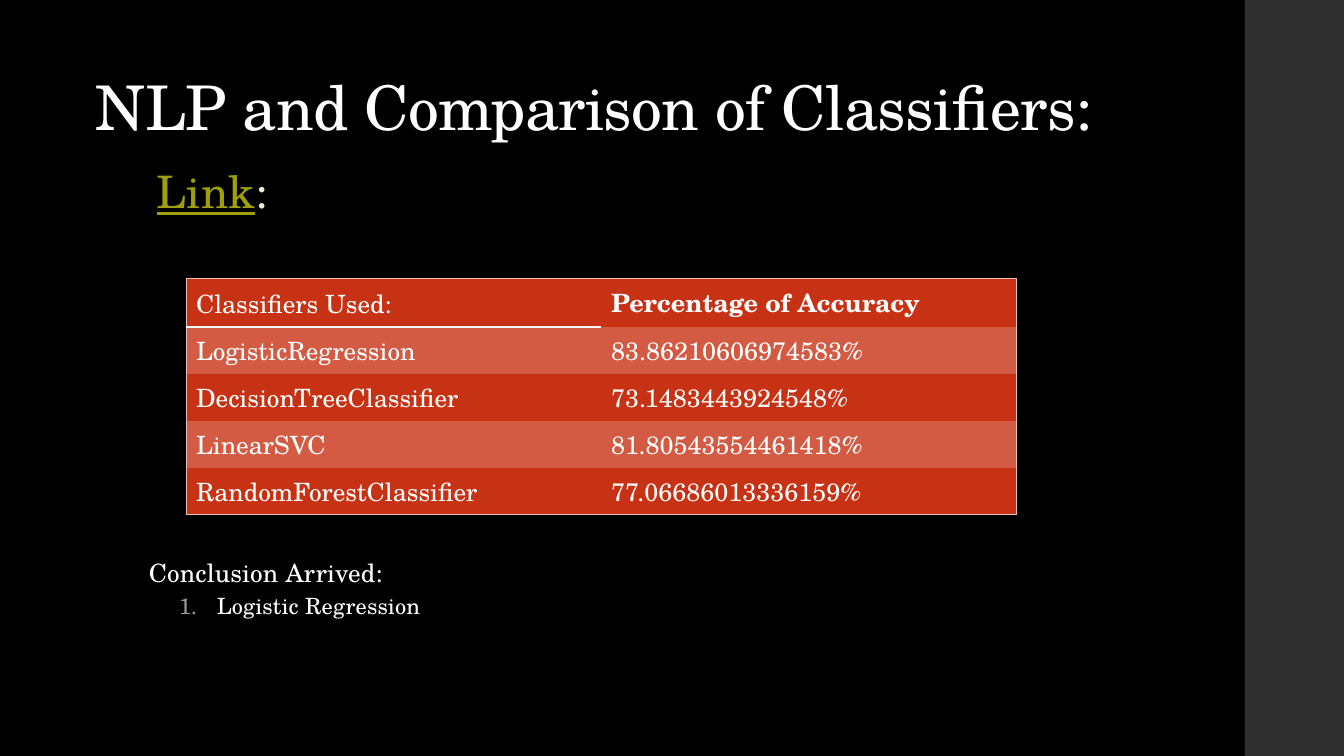
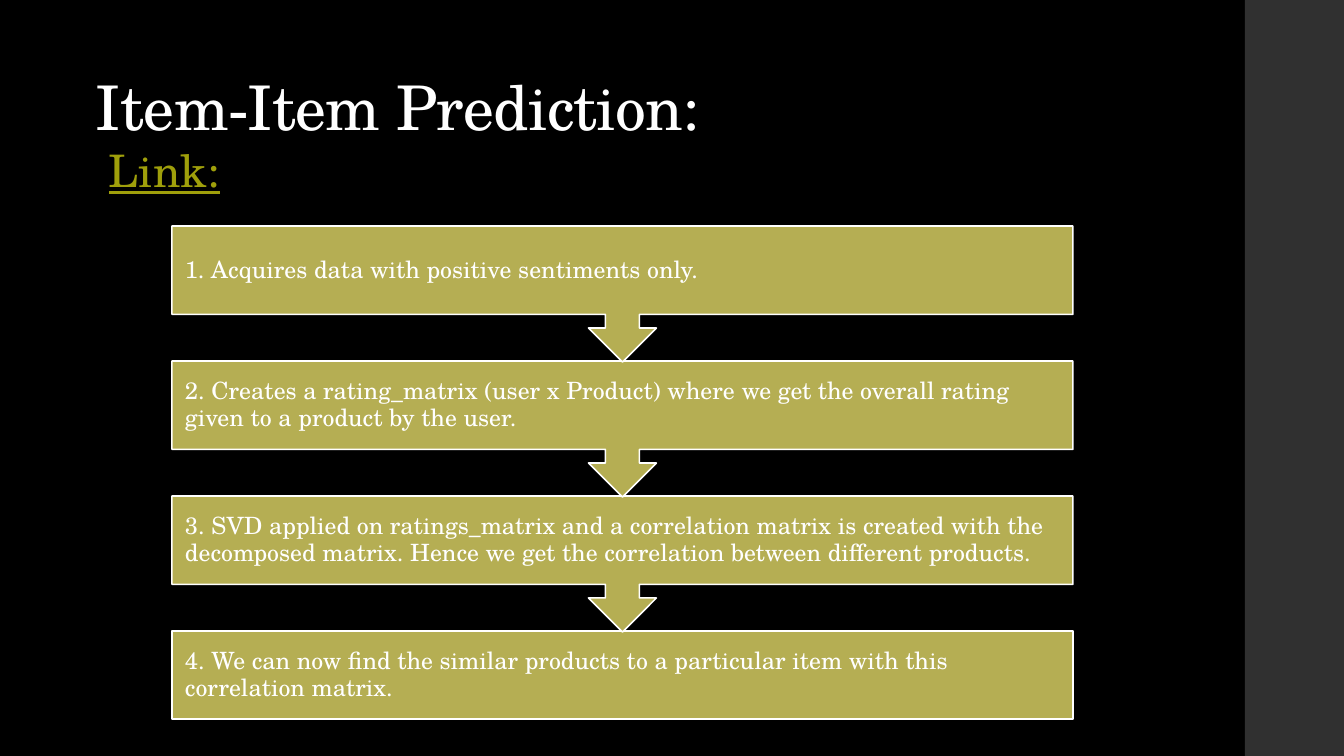
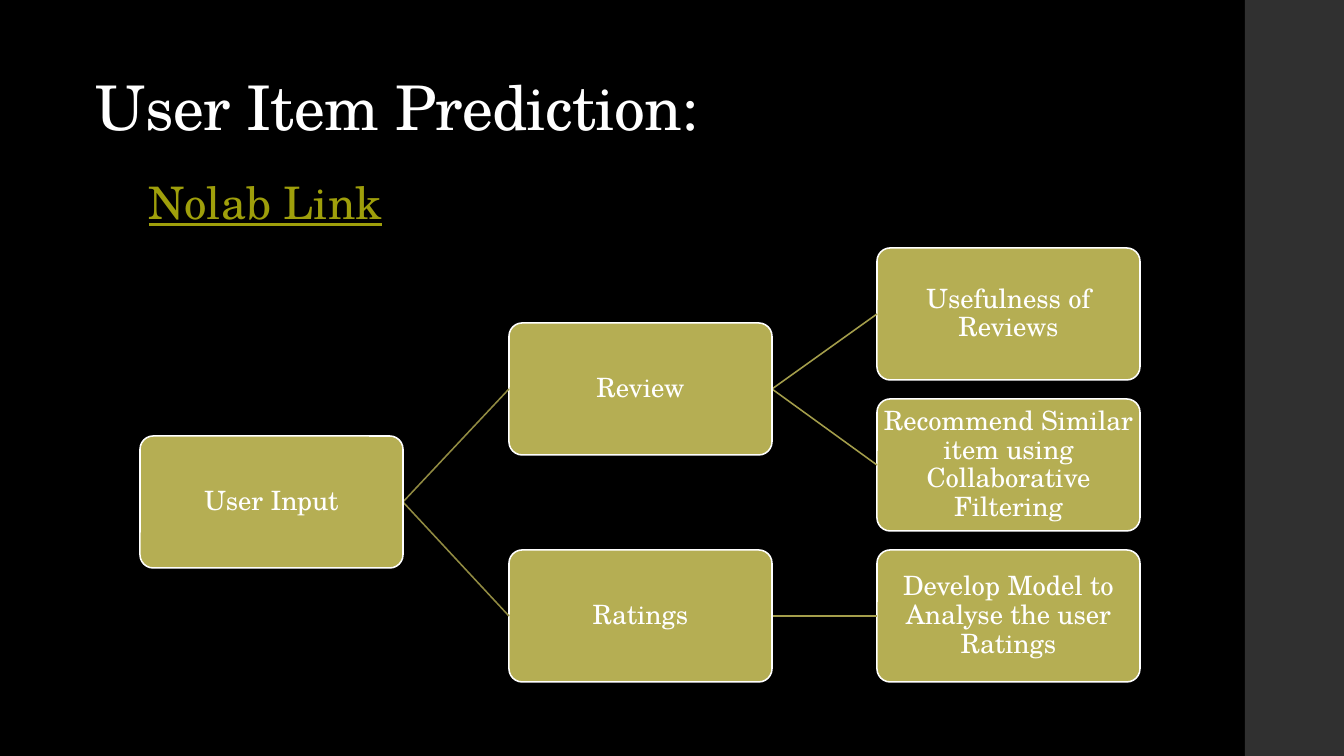
from lxml import etree
from pptx import Presentation
from pptx.dml.color import RGBColor
from pptx.enum.shapes import MSO_CONNECTOR, MSO_SHAPE
from pptx.enum.text import MSO_ANCHOR, PP_ALIGN
from pptx.oxml.ns import qn
from pptx.util import Pt

RECT, ROUND = MSO_SHAPE.RECTANGLE, MSO_SHAPE.ROUNDED_RECTANGLE
CALL = MSO_SHAPE.DOWN_ARROW_CALLOUT
LINE = MSO_CONNECTOR.STRAIGHT
TOP, MID, LOW = MSO_ANCHOR.TOP, MSO_ANCHOR.MIDDLE, MSO_ANCHOR.BOTTOM
LEFT, MIDDLE = PP_ALIGN.LEFT, PP_ALIGN.CENTER

FACE = "TeX Gyre Schola"
BLACK, WHITE, GREY = "000000", "FFFFFF", "303030"
OLIVE, LINK, CREAM = "B5AE53", "9F9F0B", "ECEDD1"
RED, PALE, FRAME, RULE = "C83214", "D35B43", "E7C1BE", "F9F9F9"
BULLET = "93A299"
EDGES = ["918B42", "A49E4B"]
WIDE, HIGH = 1344, 756

ROWS = [
    ("Classifiers Used:", "Percentage of Accuracy"),
    ("LogisticRegression", "83.86210606974583%"),
    ("DecisionTreeClassifier", "73.1483443924548%"),
    ("LinearSVC", "81.80543554461418%"),
    ("RandomForestClassifier", "77.06686013336159%"),
]
STEPS = [
    "1. Acquires data with positive sentiments only.",
    "2. Creates a rating_matrix (user x Product) where we get the overall "
    "rating given to a product by the user.",
    "3. SVD applied on ratings_matrix and a correlation matrix is created "
    "with the decomposed matrix. Hence we get the correlation between "
    "different products.",
    "4. We can now find the similar products to a particular item with "
    "this correlation matrix.",
]
TREE = ("User Input", [
    ("Review", [
        ("Usefulness of Reviews", []),
        ("Recommend Similar item using Collaborative Filtering", []),
    ]),
    ("Ratings", [("Develop Model to Analyse the user Ratings", [])]),
])


def px(n):
    return round(n * 914400 / 100.8)


def rgb(code):
    return RGBColor.from_string(code)


def style(par, size, color=WHITE, space=0.95, track=0, **more):
    """Set the paragraph's font; track is letter spacing in points."""
    par.line_spacing = space
    font = par.font
    font.name, font.size = FACE, Pt(size)
    font.color.rgb = rgb(color)
    for name, value in more.items():
        setattr(font, name, value)
    if track:
        par._p.pPr.find(qn("a:defRPr")).set("spc", str(round(track * 100)))


def text(slide, box, anchor):
    frame = slide.shapes.add_textbox(*map(px, box)).text_frame
    frame.word_wrap, frame.vertical_anchor = True, anchor
    return frame


def shape(slide, kind, box, fill, line=None):
    item = slide.shapes.add_shape(kind, *map(px, box))
    item.shadow.inherit = False
    item.fill.solid()
    item.fill.fore_color.rgb = rgb(fill)
    if line:
        item.line.color.rgb = rgb(line)
        item.line.width = Pt(1.1)
    else:
        item.line.fill.background()
    return item


def label(item, words, pad, size, align, space):
    frame = item.text_frame
    frame.word_wrap, frame.vertical_anchor = True, MID
    frame.margin_left = frame.margin_right = px(pad)
    frame.margin_top = frame.margin_bottom = px(pad)
    par = frame.paragraphs[0]
    par.text, par.alignment = words, align
    style(par, size, space=space)


def base(deck, title):
    """Add a slide with the shared backdrop, side band and title."""
    slide = deck.slides.add_slide(deck.slide_layouts[6])
    slide.background.fill.solid()
    slide.background.fill.fore_color.rgb = rgb(BLACK)
    shape(slide, RECT, (1245, 0, WIDE - 1245, HIGH), GREY)
    par = text(slide, (86, 53, 1122, 96), LOW).paragraphs[0]
    par.text = title
    style(par, 44, space=0.9, track=-0.5)
    return slide


def link(slide, left, low, words, tail=""):
    """Place a link line whose box ends at low, with a plain tail."""
    par = text(slide, (left, low - 66, 600, 66), LOW).paragraphs[0]
    par.add_run().text = words
    style(par, 32, LINK, track=0.1, underline=True)
    par.space_after = Pt(2)
    if tail:
        run = par.add_run()
        run.text, run.font.underline = tail, False
        run.font.color.rgb = rgb(CREAM)


def edge(cell, side, color, width):
    """Draw one cell border, or clear it when color is None."""
    line = etree.SubElement(cell._tc.get_or_add_tcPr(), qn("a:ln" + side))
    if color:
        line.set("w", str(Pt(width)))
        fill = etree.SubElement(line, qn("a:solidFill"))
        etree.SubElement(fill, qn("a:srgbClr"), val=color)
    else:
        etree.SubElement(line, qn("a:noFill"))


def grid(slide, box, rows, head, body):
    high = head + body * (len(rows) - 1)
    table = slide.shapes.add_table(
        len(rows), 2, *map(px, (*box, high))).table
    table.first_row = table.horz_banding = False
    last = len(rows) - 1
    for r, row in enumerate(rows):
        table.rows[r].height = px(body if r else head)
        for c, words in enumerate(row):
            cell = table.cell(r, c)
            outer = {"L": c == 0, "R": c == 1, "T": r == 0, "B": r == last}
            for side, shown in outer.items():
                if side == "B" and r == c == 0:
                    edge(cell, side, RULE, 1.35)
                else:
                    edge(cell, side, FRAME if shown else None, 0.75)
            cell.fill.solid()
            cell.fill.fore_color.rgb = rgb(PALE if r % 2 else RED)
            cell.vertical_anchor = MID
            par = cell.text_frame.paragraphs[0]
            par.text, par.space_after = words, Pt(2 if r == c == 0 else 0)
            style(par, 18, space=0.95 if r == c == 0 else 1.0,
                  bold=r == 0 and c == 1)


def number(par, left, hang):
    """Number the paragraph with a hanging indent."""
    prop = par._p.get_or_add_pPr()
    prop.set("marL", str(px(left)))
    prop.set("indent", str(-px(hang)))
    font = prop.find(qn("a:defRPr"))
    tint = etree.Element(qn("a:buClr"))
    etree.SubElement(tint, qn("a:srgbClr"), val=BULLET)
    font.addprevious(tint)
    font.addprevious(etree.Element(qn("a:buAutoNum"), type="arabicPeriod"))


def result(slide, box, head, item):
    frame = text(slide, box, TOP)
    first, second = frame.paragraphs[0], frame.add_paragraph()
    first.text, second.text = head, item
    style(first, 18, track=0.1)
    style(second, 16, space=0.9, track=0.1)
    first.space_after = Pt(2)
    second.space_before = second.space_after = Pt(3)
    number(second, 68, 38)


def flow(slide, left, top, wide, steps):
    """Stack the steps, each but the last pointing down to the next."""
    for i, words in reversed(list(enumerate(steps))):
        end = i == len(steps) - 1
        box = (left, top + 135 * i, wide, 88 if end else 136)
        item = shape(slide, RECT if end else CALL, box, OLIVE, WHITE)
        label(item, words, 13, 17, LEFT, 0.95)


def wire(slide, start, end, color):
    item = slide.shapes.add_connector(LINE, *map(px, (*start, *end)))
    item.line.color.rgb = rgb(color)
    item.line.width = Pt(1.1)
    etree.SubElement(item._element.spPr, qn("a:effectLst"))


def tree(slide, node, cols, top, size, step, depth=0):
    """Draw a node centred on its children; return its top and leaf count."""
    words, kids = node
    wide, high = size
    tops, count = [], 0
    for kid in kids:
        spot, leaves = tree(slide, kid, cols, top + step * count,
                            size, step, depth + 1)
        tops.append(spot)
        count += leaves
    mine = (tops[0] + tops[-1]) // 2 if tops else top
    left = cols[depth]
    for spot in tops:
        wire(slide, (left + wide, mine + high // 2),
             (cols[depth + 1], spot + high // 2), EDGES[depth])
    item = shape(slide, ROUND, (left, mine, wide, high), OLIVE, WHITE)
    item.adjustments[0] = 0.1
    label(item, words, 1, 19, MIDDLE, 0.9)
    return mine, max(count, 1)


def main():
    deck = Presentation()
    deck.slide_width, deck.slide_height = px(WIDE), px(HIGH)

    slide = base(deck, "NLP and Comparison of Classifiers:")
    link(slide, 147, 224, "Link", ":")
    grid(slide, (186, 278, 830), ROWS, 49, 47)
    result(slide, (139, 555, 679, 130),
           "Conclusion Arrived:", "Logistic Regression")

    slide = base(deck, "Item-Item Prediction:")
    flow(slide, 172, 226, 901, STEPS)
    link(slide, 99, 203, "Link:")

    slide = base(deck, "User Item Prediction:")
    link(slide, 139, 235, "Nolab Link")
    tree(slide, TREE, (140, 509, 877), 248, (263, 132), 151)

    deck.save("out.pptx")


if __name__ == "__main__":
    main()
